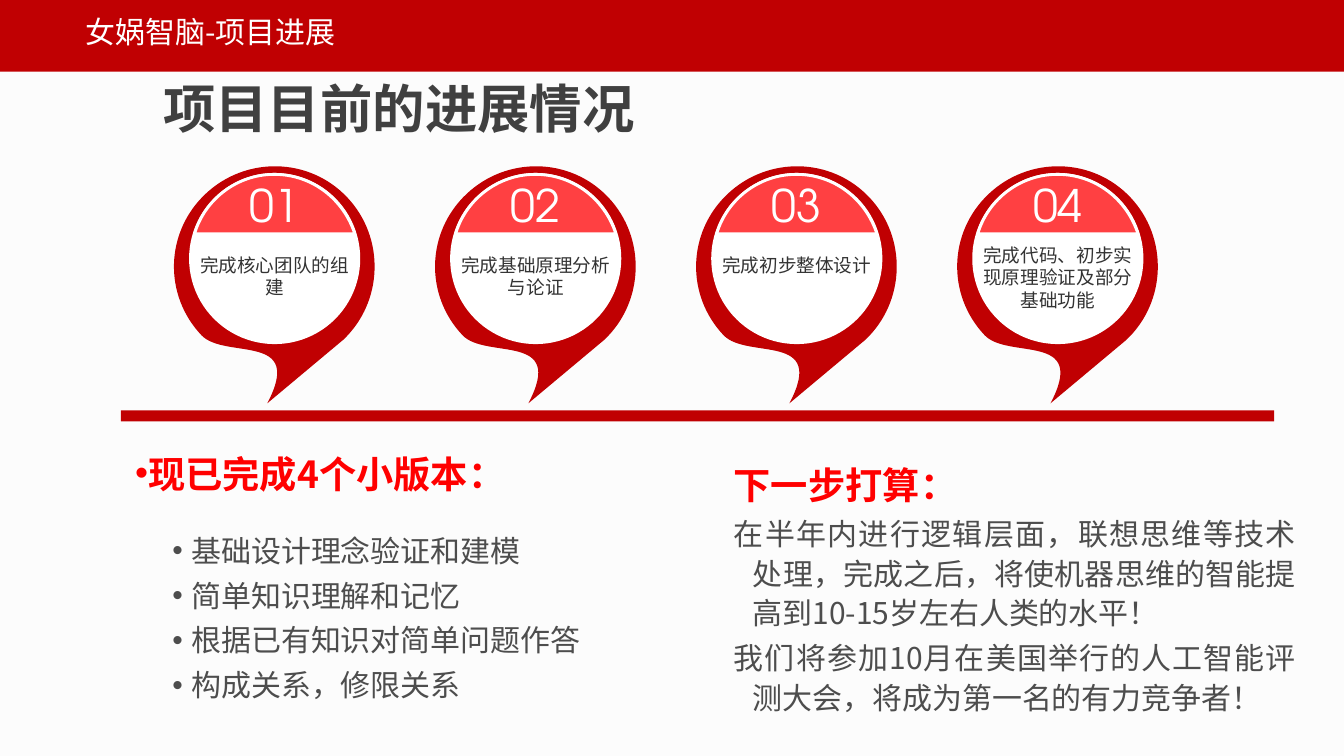
"""Build the project progress slide."""
import pptx
import pptx.dml.color
import pptx.enum.shapes
import pptx.enum.text
import pptx.oxml
import pptx.oxml.ns
import pptx.util

WIDTH, HEIGHT = 40 / 3, 7.5
SANS, LATIN, NUMERAL = "Noto Sans CJK SC", "Arial", "TeX Gyre Adventor"
RED, BRIGHT, CORAL, WHITE = "C00002", "FF0000", "FF4042", "FFFFFF"
PAPER, DARK, GREY, INK = "FCFCFC", "404040", "4D4D4D", "333333"

HEADER = "女娲智脑-项目进展"
TITLE = "项目目前的进展情况"
MILESTONES = [
    ("01", "完成核心团队的组建", LATIN, 2.47, 0.55),
    ("02", "完成基础原理分析与论证", LATIN, 2.47, 0.55),
    ("03", "完成初步整体设计", LATIN, 2.47, 0.32),
    ("04", "完成代码、初步实现原理验证及部分基础功能", SANS, 2.37, 0.77),
]
DONE_HEADING = "现已完成4个小版本："
DONE = ["基础设计理念验证和建模", "简单知识理解和记忆", "根据已有知识对简单问题作答", "构成关系，修限关系"]
NEXT_HEADING = "下一步打算："
NEXT = [
    "在半年内进行逻辑层面，联想思维等技术处理，完成之后，将使机器思维的智能提高到10-15岁左右人类的水平！",
    "我们将参加10月在美国举行的人工智能评测大会，将成为第一名的有力竞争者！",
]

PIN_LEFT, PIN_TOP, PIN_PITCH, PIN_TURN = 1.73, 1.65, 2.59, 136.6
PIN_OUTLINE = [
    (0, 1),
    (0, 0.45, 0.45, 0, 1, 0),
    (1.98, 0.06),
    (1.22, 0.32, 1.99, 0.66, 1.99, 1),
    (1.99, 1.55, 1.55, 1.99, 1, 1.99),
    (0.45, 1.99, 0, 1.55, 0, 1),
]
CAP_OUTLINE = [
    (0.79, 0),
    (1.17, 0, 1.48, 0.25, 1.59, 0.59),
    (0, 0.59),
    (0.1, 0.25, 0.42, 0, 0.79, 0),
]


def inches(*lengths):
    return [pptx.util.Inches(length) for length in lengths]


def color(value):
    return pptx.dml.color.RGBColor.from_string(value)


def paint(shape, fill, line=None):
    shape.shadow.inherit = False
    shape.fill.solid()
    shape.fill.fore_color.rgb = color(fill)
    if line:
        shape.line.color.rgb = color(line)
        shape.line.width = pptx.util.Pt(2)
    else:
        shape.line.fill.background()


def style(para, size, ink, face=SANS, bold=False):
    for span in para.runs:
        span.font.size = pptx.util.Pt(size)
        span.font.bold = bold
        span.font.name = face
        span.font.color.rgb = color(ink)
        east_asian = pptx.oxml.parse_xml(
            f'<a:ea {pptx.oxml.ns.nsdecls("a")} typeface="{SANS}"/>')
        span.font._element.find(pptx.oxml.ns.qn("a:latin")).addnext(east_asian)


def write(box, text, size, ink, align, face=SANS, bold=False):
    frame = box.text_frame
    frame.word_wrap = True
    frame.text = text
    frame.paragraphs[0].alignment = align
    style(frame.paragraphs[0], size, ink, face, bold)


def place(box, *area):
    box.left, box.top, box.width, box.height = inches(*area)


def draw_outline(shapes, outline, left, top):
    """Draw steps of two numbers as lines and steps of six as curves."""
    points = [inches(left + x, top + y)
              for step in outline for x, y in zip(step[::2], step[1::2])]
    builder = shapes.build_freeform(*points[0])
    builder.add_line_segments(points[1:], close=True)
    shape = builder.convert_to_shape()
    lines = iter(list(shape._element.iter(pptx.oxml.ns.qn("a:lnTo"))))
    for step in outline[1:]:
        parts = [next(lines) for _ in step[::2]]
        if len(parts) == 3:
            curve = pptx.oxml.parse_xml(f'<a:cubicBezTo {pptx.oxml.ns.nsdecls("a")}/>')
            parts[0].addprevious(curve)
            for part in parts:
                curve.append(part[0])
                part.getparent().remove(part)
    return shape


def add_milestone(slide, left, number, caption, face, top, height):
    shapes = slide.shapes.add_group_shape().shapes
    pin = draw_outline(shapes, PIN_OUTLINE, left, PIN_TOP)
    pin.rotation = PIN_TURN
    paint(pin, RED)
    disc = shapes.add_shape(pptx.enum.shapes.MSO_SHAPE.OVAL, *inches(left + 0.16, 1.73, 1.67, 1.67))
    paint(disc, WHITE, WHITE)
    cap = draw_outline(shapes, CAP_OUTLINE, left + 0.2, 1.73)
    paint(cap, CORAL, WHITE)
    center = pptx.enum.text.PP_ALIGN.CENTER
    write(cap, number, 32, WHITE, center, NUMERAL)
    frame = cap.text_frame
    frame.vertical_anchor = pptx.enum.text.MSO_ANCHOR.MIDDLE
    frame.margin_left = frame.margin_right = frame.margin_top = frame.margin_bottom = 0
    label = shapes.add_textbox(*inches(left + 0.1, top, 1.79, height))
    write(label, caption, 13.3, INK, center, face)


def set_list(body, rows):
    frame = body.text_frame
    frame.word_wrap = True
    frame.auto_size = pptx.enum.text.MSO_AUTO_SIZE.NONE
    frame.text = "\n".join(row[0] for row in rows)
    for para, (_, level, bullet, spacing, before, size, ink, bold) in zip(frame.paragraphs, rows):
        para.level = level
        para.alignment = pptx.enum.text.PP_ALIGN.JUSTIFY
        para.line_spacing = spacing
        para.space_before = pptx.util.Pt(before)
        left, indent = inches(0.56, -0.19) if level else (0, 0)
        properties = para._p.get_or_add_pPr()
        properties.set("marL", str(left))
        properties.set("indent", str(indent))
        mark = 'buChar char="•"' if bullet else "buNone"
        tag, _, attribute = mark.partition(" ")
        properties.append(pptx.oxml.parse_xml(
            f'<a:{tag} {pptx.oxml.ns.nsdecls("a")} {attribute}/>'))
        style(para, size, ink, bold=bold)


def add_bar(slide, *area):
    bar = slide.shapes.add_shape(pptx.enum.shapes.MSO_SHAPE.RECTANGLE, *inches(*area))
    paint(bar, RED)


def main():
    deck = pptx.Presentation()
    deck.slide_width, deck.slide_height = inches(WIDTH, HEIGHT)
    slide = deck.slides.add_slide(deck.slide_layouts[3])
    slide.background.fill.solid()
    slide.background.fill.fore_color.rgb = color(PAPER)
    title, done, plans = slide.placeholders
    left = pptx.enum.text.PP_ALIGN.LEFT

    add_bar(slide, 0, 0, WIDTH, 0.71)
    header = slide.shapes.add_textbox(*inches(0.75, 0.09, 11.7, 0.46))
    write(header, HEADER, 21.4, WHITE, left)

    place(title, 1.52, 0.71, 9.66, 0.73)
    write(title, TITLE, 37.4, DARK, left, bold=True)
    title.text_frame.auto_size = pptx.enum.text.MSO_AUTO_SIZE.NONE
    title.text_frame.vertical_anchor = pptx.enum.text.MSO_ANCHOR.TOP

    for index, milestone in enumerate(MILESTONES):
        add_milestone(slide, PIN_LEFT + index * PIN_PITCH, *milestone)
    add_bar(slide, 1.2, 4.07, 11.44, 0.11)

    place(done, 1.21, 4.49, 5.78, 2.86)
    frame = done.text_frame
    frame.margin_left, frame.margin_top, frame.margin_right, frame.margin_bottom = inches(
        0.13, 0.07, 0.13, 0.07)
    set_list(done, [(DONE_HEADING, 0, True, 0.8, 0, 26.6, BRIGHT, True)] + [
        (text, 1, True, 1.1, 3.8 if index else 23.8, 21.4, GREY, False)
        for index, text in enumerate(DONE)])

    place(plans, 6.81, 4.49, 6.15, 2.68)
    set_list(plans, [(NEXT_HEADING, 1, False, 1.1, 0, 26.6, BRIGHT, True)] + [
        (text, 1, False, 1.1, 3.8, 21.4, GREY, False) for text in NEXT])
    deck.save("out.pptx")


if __name__ == "__main__":
    main()
